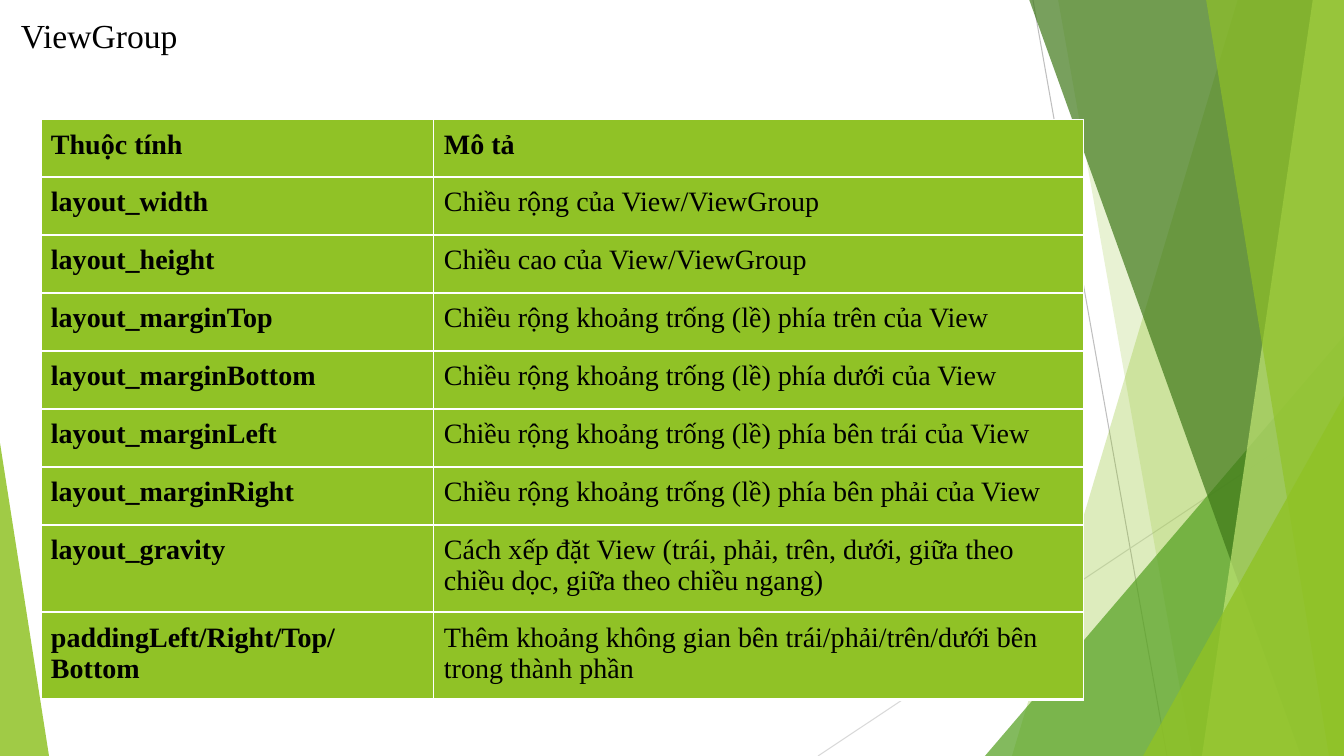
from lxml.etree import SubElement as Sub
from pptx import Presentation
from pptx.dml.color import RGBColor as RGB
from pptx.enum.shapes import MSO_CONNECTOR as LINK, MSO_SHAPE as SHAPE
from pptx.enum.text import MSO_ANCHOR as ANCHOR
from pptx.oxml.ns import qn
from pptx.util import Pt

SCALE = 914400 / 100.8
WIDE, HIGH = 1344, 756
FONT = "Times New Roman"
BLACK = RGB(0x00, 0x00, 0x00)
WHITE = RGB(0xFF, 0xFF, 0xFF)
SILVER = RGB(0xBF, 0xBF, 0xBF)
PALE = RGB(0xD9, 0xD9, 0xD9)
LIME = RGB(0x90, 0xC2, 0x26)
LEAF = RGB(0x54, 0xA0, 0x21)
FOREST = RGB(0x3F, 0x78, 0x19)
MINT = RGB(0xC0, 0xE4, 0x74)

WIDTHS = [393, 650]
HEIGHTS = [58] * 7 + [87] * 2
MARGIN = "Chiều rộng khoảng trống (lề) phía {} của View"
SIDES = [("Top", "trên"), ("Bottom", "dưới"), ("Left", "bên trái"), ("Right", "bên phải")]
ROWS = [
    ("Thuộc tính", "Mô tả"),
    ("layout_width", "Chiều rộng của View/ViewGroup"),
    ("layout_height", "Chiều cao của View/ViewGroup"),
    *[("layout_margin" + side, MARGIN.format(place)) for side, place in SIDES],
    ("layout_gravity",
     "Cách xếp đặt View (trái, phải, trên, dưới, giữa theo chiều dọc, giữa theo chiều ngang)"),
    ("paddingLeft/Right/Top/Bottom",
     "Thêm khoảng không gian bên trái/phải/trên/dưới bên trong thành phần"),
]


def px(*sizes):
    """Turn pixels into a list of EMU lengths."""
    return [round(size * SCALE) for size in sizes]


def paint(shape, color, alpha):
    """Give a shape a see-through fill with no line or shadow."""
    shape.shadow.inherit = False
    shape.line.fill.background()
    shape.fill.solid()
    shape.fill.fore_color.rgb = color
    tint = shape.fill._xPr.find(qn("a:solidFill"))[0]
    Sub(tint, qn("a:alpha"), val=str(alpha * 1000))


def add_line(slide, ends, color):
    """Draw a thin straight line."""
    line = slide.shapes.add_connector(LINK.STRAIGHT, *px(*ends))
    line.line.color.rgb = color
    line.line.width = Pt(0.75)
    Sub(line._element.spPr, qn("a:effectLst"))


def add_band(slide, top, foot, color, alpha):
    """Draw a band from a slanted left edge to the slide's right edge."""
    pen = slide.shapes.build_freeform(top, -1, scale=SCALE)
    pen.add_line_segments([(WIDE, -1), (WIDE, HIGH), (foot, HIGH)], close=True)
    paint(pen.convert_to_shape(), color, alpha)


def add_wedge(slide, box, peak, color, alpha):
    """Draw a triangle whose apex is at the given share of its width."""
    wedge = slide.shapes.add_shape(SHAPE.ISOSCELES_TRIANGLE, *px(*box))
    wedge.adjustments[0] = peak
    paint(wedge, color, alpha)


def set_text(frame, text, size, bold=False):
    """Write one black paragraph."""
    frame.word_wrap = True
    para = frame.paragraphs[0]
    para.text = text
    font = para.font
    font.name, font.size, font.bold = FONT, Pt(size), bold
    font.color.rgb = BLACK


def add_title(slide, text):
    """Write the slide title."""
    box = slide.shapes.add_textbox(*px(11, 2, 973, 67))
    box.text_frame.vertical_anchor = ANCHOR.MIDDLE
    set_text(box.text_frame, text, 24)


def set_edge(cell, side, width):
    """Draw one white cell border."""
    edge = Sub(cell._tc.get_or_add_tcPr(), qn("a:ln" + side), w=str(Pt(width)))
    Sub(Sub(edge, qn("a:solidFill")), qn("a:srgbClr"), val=str(WHITE))


def set_cell(cell, text, bold, head):
    """Style and fill in one table cell."""
    for side, width in zip("LRTB", (0.75, 0.75, 0.75 if head else 2.25, 2.25)):
        set_edge(cell, side, width)
    cell.fill.solid()
    cell.fill.fore_color.rgb = LIME
    pad, = px(10)
    cell.margin_left = cell.margin_right = pad
    cell.margin_top = cell.margin_bottom = pad
    set_text(cell.text_frame, text, 20, bold)


def add_grid(slide):
    """Build the table of layout attributes."""
    box = px(41, 119, sum(WIDTHS), sum(HEIGHTS))
    grid = slide.shapes.add_table(len(ROWS), len(WIDTHS), *box).table
    grid.horz_banding = False
    for col, width in zip(grid.columns, px(*WIDTHS)):
        col.width = width
    for row, height in zip(grid.rows, px(*HEIGHTS)):
        row.height = height
    for i, row in enumerate(ROWS):
        for j, text in enumerate(row):
            set_cell(grid.cell(i, j), text, i == 0 or j == 0, i == 0)


def add_decor(slide):
    """Draw the green facets behind the content."""
    add_line(slide, (1033, 0, 1167, HIGH), SILVER)
    add_line(slide, (WIDE, 406, 818, HIGH), PALE)
    add_band(slide, 1238, 1012, LIME, 30)
    add_band(slide, 1058, 1192, LIME, 20)
    add_wedge(slide, (985, 336, 359, 420), 1, LEAF, 72)
    add_band(slide, 1029, 1301, FOREST, 70)
    add_band(slide, 1313, 1202, MINT, 70)
    add_band(slide, 1206, 1329, LIME, 65)
    add_wedge(slide, (1143, 396, 201, 360), 1, LIME, 80)
    add_wedge(slide, (0, 443, 49, 313), 0, LIME, 85)


def main():
    """Build and save the slide."""
    deck = Presentation()
    deck.slide_width, deck.slide_height = px(WIDE, HIGH)
    slide = deck.slides.add_slide(deck.slide_layouts[6])
    add_decor(slide)
    add_title(slide, "ViewGroup")
    add_grid(slide)
    deck.save("out.pptx")


main()
